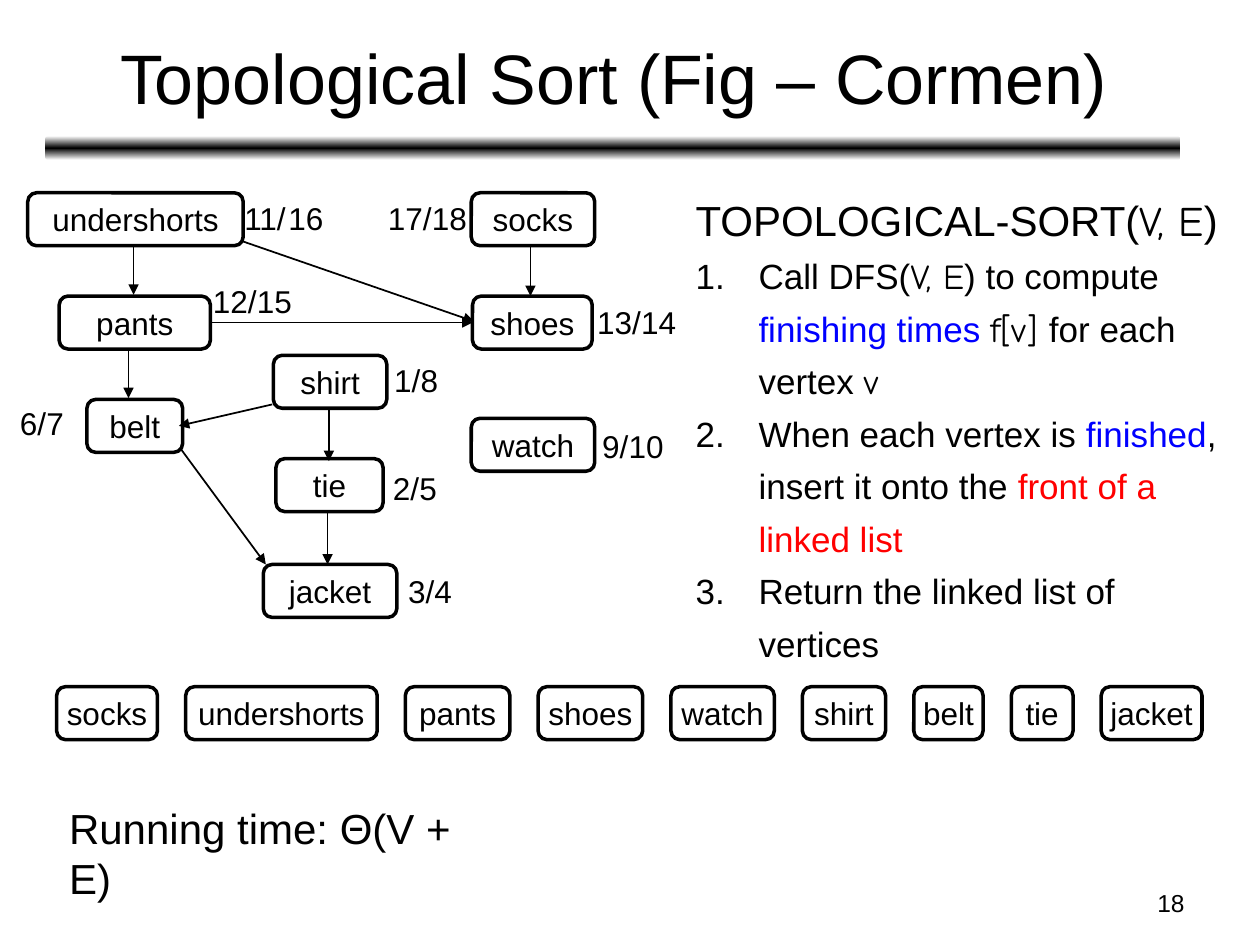
"""Build the topological sort slide: dependency graph, algorithm and sorted list."""
import copy
from dataclasses import dataclass
from typing import Any, NamedTuple

import lxml.etree
import pptx
import pptx.dml.color
import pptx.enum.shapes
import pptx.enum.text
import pptx.oxml.ns
import pptx.util

Inches = pptx.util.Inches
Pt = pptx.util.Pt
Align = pptx.enum.text.PP_ALIGN
Anchor = pptx.enum.text.MSO_ANCHOR
qn = pptx.oxml.ns.qn


@dataclass(frozen=True)
class Theme:
    black: str = "000000"
    white: str = "FFFFFF"
    blue: str = "0000FF"
    red: str = "FF0000"
    font: str = "Arial"
    math_font: str = "Comic Neue"
    title_size: int = 40
    heading_size: int = 24
    body_size: int = 20
    label_size: int = 18
    number_size: int = 14
    box_line: float = 2
    arrow_line: float = 1


class Box(NamedTuple):
    left: float
    top: float
    width: float
    height: float


class Node(NamedTuple):
    name: str
    left: float
    top: float
    width: float


class Times(NamedTuple):
    discovered: str
    finished: str
    left: float
    top: float


class Arrow(NamedTuple):
    x1: float
    y1: float
    x2: float
    y2: float


class Run(NamedTuple):
    text: str
    color: str = "000000"
    font: str = "Arial"


THEME = Theme()
NODE_HEIGHT = 0.42
LABEL_HEIGHT = 0.4
LABEL_PADDING = 0.2
DIGIT_WIDTH = 0.14
SLASH_WIDTH = 0.07

NODES = [
    Node("undershorts", 0.22, 1.53, 1.71),
    Node("pants", 0.47, 2.35, 1.2),
    Node("belt", 0.69, 3.17, 0.76),
    Node("socks", 3.74, 1.53, 0.98),
    Node("shoes", 3.75, 2.35, 0.95),
    Node("watch", 3.74, 3.32, 0.98),
    Node("shirt", 2.17, 2.82, 0.9),
    Node("tie", 2.19, 3.64, 0.85),
    Node("jacket", 2.09, 4.48, 1.06),
]
ARROWS = [
    Arrow(1.91, 1.91, 3.76, 2.55),
    Arrow(1.66, 2.56, 3.75, 2.56),
    Arrow(2.61, 3.24, 2.61, 3.66),
    Arrow(2.6, 4.07, 2.6, 4.48),
    Arrow(2.16, 3.21, 1.42, 3.38),
    Arrow(1.44, 3.57, 2.11, 4.48),
    Arrow(4.21, 1.96, 4.21, 2.35),
    Arrow(1.06, 1.95, 1.06, 2.34),
    Arrow(1.02, 2.77, 1.02, 3.16),
]
TIMES = [
    Times("1", "8", 3.03, 2.82),
    Times("2", "5", 3.02, 3.67),
    Times("3", "4", 3.14, 4.49),
    Times("6", "7", 0.06, 3.16),
    Times("9", "10", 4.68, 3.34),
    Times("11", "16", 1.84, 1.53),
    Times("12", "15", 1.59, 2.19),
    Times("13", "14", 4.64, 2.36),
    Times("17", "18", 2.98, 1.53),
]
SORTED_WIDTHS = {
    "socks": 0.8, "undershorts": 1.52, "pants": 0.83, "shoes": 0.83, "watch": 0.82,
    "shirt": 0.66, "belt": 0.55, "tie": 0.49, "jacket": 0.8,
}
SORTED_LEFT, SORTED_RIGHT, SORTED_TOP = 0.45, 9.54, 5.45
HEADING = [Run("TOPOLOGICAL-SORT("), Run("V, E", font=THEME.math_font), Run(")")]
STEPS = [
    [
        Run("Call DFS("), Run("V, E", font=THEME.math_font), Run(") to compute "),
        Run("finishing times ", THEME.blue), Run("f[v] ", font=THEME.math_font),
        Run("for each vertex "), Run("v", font=THEME.math_font),
    ],
    [
        Run("When each vertex is "), Run("finished", THEME.blue),
        Run(", insert it onto the "), Run("front of a linked list", THEME.red),
    ],
    [Run("Return the linked list of vertices")],
]


def apply_format(target: Any, values: dict[str, Any]) -> None:
    """Set each named attribute on the target."""
    for name, value in values.items():
        setattr(target, name, value)


def place(shape: Any, box: Box) -> None:
    """Move and size a shape."""
    apply_format(shape, {name: Inches(value) for name, value in box._asdict().items()})


def rgb(color: str) -> Any:
    """Convert a hexadecimal colour."""
    return pptx.dml.color.RGBColor.from_string(color)


def add_runs(paragraph: Any, runs: list[Run], size: float) -> None:
    """Append formatted runs to a paragraph."""
    for item in runs:
        run = paragraph.add_run()
        run.text = item.text
        apply_format(run.font, {"name": item.font, "size": Pt(size)})
        run.font.color.rgb = rgb(item.color)


def write_line(shape: Any, text: str, size: float, align: Any, anchor: Any, wrap: bool) -> None:
    """Write one line of text into a shape."""
    apply_format(shape.text_frame, {"word_wrap": wrap, "vertical_anchor": anchor})
    paragraph = shape.text_frame.paragraphs[0]
    paragraph.alignment = align
    add_runs(paragraph, [Run(text)], size)


def add_text(slide: Any, box: Box, text: str, size: float, align: Any = Align.LEFT, wrap: bool = False) -> None:
    """Add a text box with one paragraph."""
    shape = slide.shapes.add_textbox(*map(Inches, box))
    write_line(shape, text, size, align, Anchor.TOP, wrap)


def add_rounded(slide: Any, box: Box) -> Any:
    """Add a rounded rectangle without a shadow."""
    shape = slide.shapes.add_shape(pptx.enum.shapes.MSO_SHAPE.ROUNDED_RECTANGLE, *map(Inches, box))
    shape.shadow.inherit = False
    return shape


def add_divider(slide: Any) -> None:
    """Add the gradient bar below the title."""
    shape = add_rounded(slide, Box(0.36, 1.08, 9.01, 0.19))
    shape.line.fill.background()
    shape.fill.gradient()
    shape.fill.gradient_angle = 90
    stop_list = shape._element.spPr.find(".//" + qn("a:gsLst"))
    stop_list.append(copy.deepcopy(stop_list[0]))
    colors = (THEME.white, THEME.black, THEME.white)
    for stop, position, color in zip(shape.fill.gradient_stops, (0, 0.5, 1), colors):
        stop.position = position
        stop.color.rgb = rgb(color)


def add_node(slide: Any, node: Node) -> None:
    """Add an outlined, labelled node."""
    shape = add_rounded(slide, Box(node.left, node.top, node.width, NODE_HEIGHT))
    shape.fill.background()
    shape.line.color.rgb = rgb(THEME.black)
    shape.line.width = Pt(THEME.box_line)
    write_line(shape, node.name, THEME.label_size, Align.CENTER, Anchor.MIDDLE, False)


def add_arrow(slide: Any, arrow: Arrow) -> None:
    """Add an arrow with a triangular head."""
    connector = slide.shapes.add_connector(pptx.enum.shapes.MSO_CONNECTOR.STRAIGHT, *map(Inches, arrow))
    connector.line.color.rgb = rgb(THEME.black)
    connector.line.width = Pt(THEME.arrow_line)
    lxml.etree.SubElement(connector.line._get_or_add_ln(), qn("a:tailEnd"), type="triangle")
    lxml.etree.SubElement(connector._element.spPr, qn("a:effectLst"))


def add_times(slide: Any, times: Times) -> None:
    """Add the discovery and finishing times side by side."""
    step = len(times.discovered) * DIGIT_WIDTH + SLASH_WIDTH
    finished_width = LABEL_PADDING + len(times.finished) * DIGIT_WIDTH
    first = Box(times.left, times.top, LABEL_PADDING + step, LABEL_HEIGHT)
    second = Box(times.left + step, times.top, finished_width, LABEL_HEIGHT)
    add_text(slide, first, times.discovered + "/", THEME.label_size)
    add_text(slide, second, times.finished, THEME.label_size)


def add_sorted_list(slide: Any) -> None:
    """Add the sorted nodes in a row with equal gaps."""
    gap = (SORTED_RIGHT - SORTED_LEFT - sum(SORTED_WIDTHS.values())) / (len(SORTED_WIDTHS) - 1)
    left = SORTED_LEFT
    for name, width in SORTED_WIDTHS.items():
        add_node(slide, Node(name, left, SORTED_TOP, width))
        left += width + gap


def fill_title(title: Any) -> None:
    """Place and write the title."""
    place(title, Box(0.37, 0.11, 9, 0.99))
    margins = ("margin_left", "margin_top", "margin_right", "margin_bottom")
    apply_format(title.text_frame, dict.fromkeys(margins, 0))
    write_line(title, "Topological Sort (Fig – Cormen)", THEME.title_size, Align.CENTER, Anchor.MIDDLE, True)


def fill_algorithm(body: Any) -> None:
    """Place and write the heading and the numbered steps."""
    place(body, Box(5.42, 1.39, 4.48, 3.78))
    frame = body.text_frame
    apply_format(frame, {"word_wrap": True, "auto_size": pptx.enum.text.MSO_AUTO_SIZE.NONE})
    for index, runs in enumerate([HEADING, *STEPS]):
        paragraph = frame.add_paragraph() if index else frame.paragraphs[0]
        apply_format(paragraph, {"line_spacing": 1.25, "space_before": Pt(0)})
        properties = paragraph._p.get_or_add_pPr()
        apply_format_xml = {"marL": str(Inches(0.5)), "indent": str(Inches(-0.5))}
        properties.attrib.update(apply_format_xml)
        if index:
            lxml.etree.SubElement(properties, qn("a:buFont"), typeface=THEME.font)
            lxml.etree.SubElement(properties, qn("a:buAutoNum"), type="arabicPeriod")
        else:
            lxml.etree.SubElement(properties, qn("a:buNone"))
        add_runs(paragraph, runs, THEME.body_size if index else THEME.heading_size)


def main() -> None:
    """Build and save the presentation."""
    presentation = pptx.Presentation()
    apply_format(presentation, {"slide_width": Inches(10), "slide_height": Inches(7.5)})
    slide = presentation.slides.add_slide(presentation.slide_layouts[1])
    add_divider(slide)
    fill_title(slide.shapes.title)
    fill_algorithm(slide.placeholders[1])
    for draw, items in ((add_node, NODES), (add_arrow, ARROWS), (add_times, TIMES)):
        for item in items:
            draw(slide, item)
    add_sorted_list(slide)
    add_text(slide, Box(0.45, 6.32, 3.64, 0.5), "Running time: Θ(V + E)", THEME.heading_size, wrap=True)
    add_text(slide, Box(7.17, 7, 2.33, 0.35), "18", THEME.number_size, Align.RIGHT, True)
    presentation.save("out.pptx")


if __name__ == "__main__":
    main()
